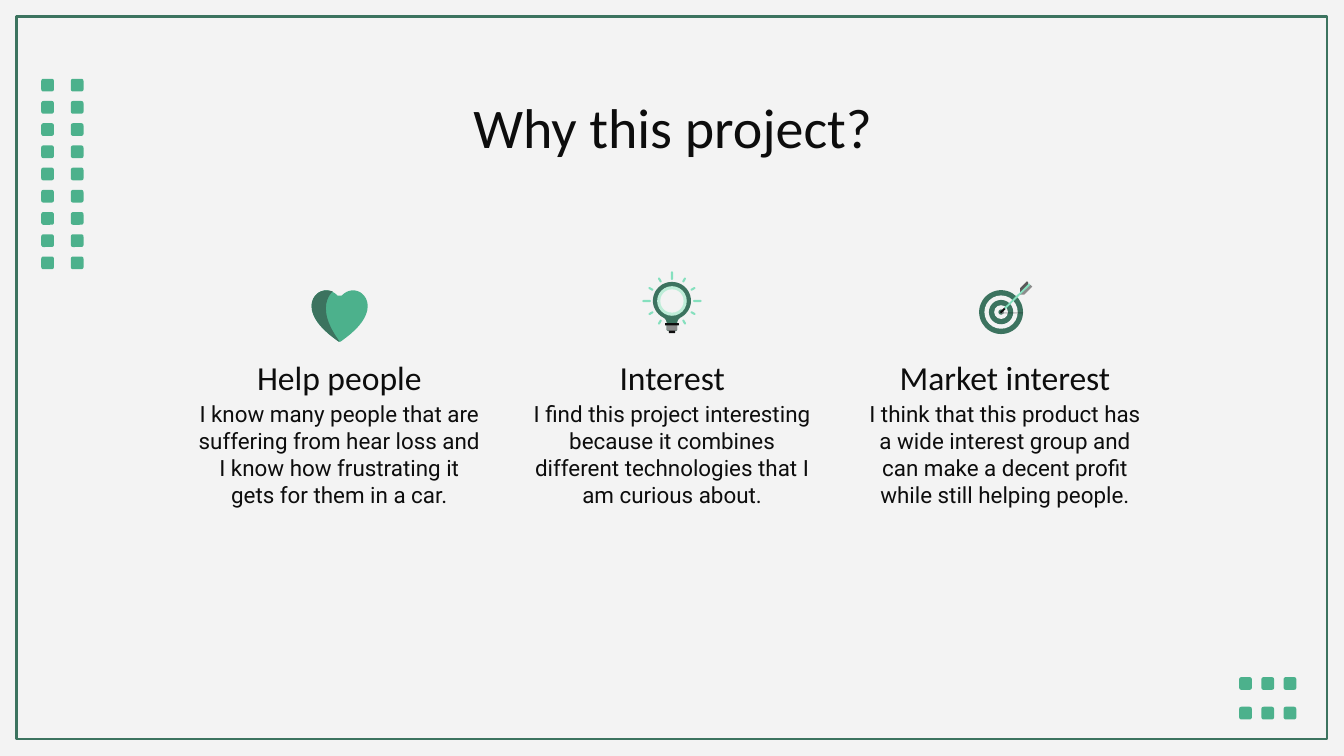
import math
from lxml import etree
from pptx import Presentation
from pptx import util as u
from pptx.dml.color import RGBColor
from pptx.enum import shapes, text
from pptx.oxml import ns

PAPER = RGBColor(0xF3, 0xF3, 0xF3)
INK = RGBColor(0x0D, 0x0D, 0x0D)
FOREST = RGBColor(0x3C, 0x73, 0x5F)
GREEN = RGBColor(0x4C, 0xB1, 0x8C)
MINT = RGBColor(0x85, 0xE0, 0xBE)
PALE = RGBColor(0xBE, 0xED, 0xD8)
GREY = RGBColor(0x8C, 0x8C, 0x8C)
MID_GREY = RGBColor(0x82, 0x82, 0x82)
DARK_GREY = RGBColor(0x59, 0x58, 0x59)

TITLE = "Why this project?"
REASONS = [
    ("Help people", "I know many people that are suffering from hear loss "
     "and I know how frustrating it gets for them in a car."),
    ("Interest", "I find this project interesting because it combines "
     "different technologies that I am curious about."),
    ("Market interest", "I think that this product has a wide interest group "
     "and can make a decent profit while still helping people."),
]
TITLE_FONT = {"name": "Calibri", "size": u.Pt(30)}
HEAD_FONT = {"name": "Calibri", "size": u.Pt(18)}
BODY_FONT = {"name": "Roboto", "size": u.Pt(12)}

DOT_GRIDS = [
    {"left": 0.78, "top": 1.49, "cols": 2, "rows": 9, "dx": 0.56, "dy": 0.42},
    {"left": 23.42, "top": 12.8, "cols": 3, "rows": 2, "dx": 0.42, "dy": 0.56},
]
DOT = 0.24

HEART_AT = (6.42, 5.49)
HEART_SIDE = [(-0.42, 0, -0.53, 0.14, -0.53, 0.3),
              (-0.53, 0.61, -0.14, 0.88, -0.03, 0.96),
              (-0.02, 0.97, -0.01, 0.97, 0, 0.97)]
HEART_HALF = [(0, 0.1), (-0.03, 0.1, -0.04, 0.1, -0.05, 0.09),
              (-0.1, 0.04, -0.17, 0, -0.25, 0)] + HEART_SIDE
HEART_SHADE = [(-0.25, 0)] + HEART_SIDE + [
    (-0.4, 0.43, -0.25, 0.13, -0.13, 0.02),
    (-0.17, 0.01, -0.21, 0, -0.25, 0)]

BULB_AT = (12.7, 5.69)
BULB_HALF = [(0, -0.36), (-0.2, -0.36, -0.36, -0.2, -0.36, 0),
             (-0.36, 0.13, -0.28, 0.25, -0.17, 0.31),
             (-0.13, 0.33, -0.1, 0.37, -0.1, 0.42), (-0.1, 0.53),
             (-0.1, 0.56, -0.08, 0.57, -0.05, 0.57)]
BULB_GLASS = [(0.56, PALE), (0.44, PAPER)]
BULB_BASE = [(0.12, 0.53, 0.08, INK), (0.2, 0.43, 0.13, GREY),
             (0.26, 0.42, 0.04, INK)]

TARGET_AT = (18.92, 5.9)
RINGS = [(0.83, FOREST), (0.63, PAPER), (0.46, FOREST), (0.26, PAPER),
         (0.1, FOREST)]
FEATHER = [(0.49, -0.58), (0.36, -0.45), (0.36, -0.33), (0.44, -0.33),
           (0.59, -0.48), (0.56, -0.51), (0.51, -0.51), (0.51, -0.56)]
FEATHER_SHADE = FEATHER[:3] + FEATHER[-2:]
ARROW = [((-0.01, 0.01), (0.08, -0.08), INK),
         ((0.07, -0.07), (0.54, -0.53), MINT)]

prs = Presentation()
prs.slide_width, prs.slide_height = u.Cm(25.4), u.Cm(14.29)
s = prs.slides.add_slide(prs.slide_layouts[6])
s.background.fill.solid()
s.background.fill.fore_color.rgb = PAPER
KIND = shapes.MSO_SHAPE


def paint(sp, color):
    sp.shadow.inherit = False
    sp.fill.solid()
    sp.fill.fore_color.rgb = color
    sp.line.fill.background()
    return sp


def add_preset(kind, left, top, width, height, color):
    box = [u.Cm(v) for v in (left, top, width, height)]
    return paint(s.shapes.add_shape(kind, *box), color)


def add_circle(center, size, color):
    x, y = (c - size / 2 for c in center)
    return add_preset(KIND.OVAL, x, y, size, size, color)


def trace(path_steps, steps=12):
    points = [path_steps[0]]
    for step in path_steps[1:]:
        if len(step) == 2:
            points.append(step)
            continue
        ends = [points[-1], step[:2], step[2:4], step[4:]]
        for i in range(1, steps + 1):
            t = i / steps
            weights = [math.comb(3, k) * t**k * (1 - t)**(3 - k)
                       for k in range(4)]
            points.append(tuple(sum(w * e[axis] for w, e in zip(weights, ends))
                                for axis in (0, 1)))
    return points


def mirror(points):
    return points + [(-x, y) for x, y in reversed(points)]


def add_outline(center, points, color):
    placed = [(u.Cm(center[0] + x), u.Cm(center[1] + y)) for x, y in points]
    builder = s.shapes.build_freeform(*placed[0])
    builder.add_line_segments(placed[1:], close=True)
    return paint(builder.convert_to_shape(), color)


def add_text(words, left, top, width, height, font, anchor):
    sp = s.shapes.add_textbox(*[u.Cm(v) for v in (left, top, width, height)])
    tf = sp.text_frame
    frame = {"word_wrap": True, "vertical_anchor": anchor}
    frame.update({f"margin_{side}": u.Cm(0.25)
                  for side in ("left", "top", "right", "bottom")})
    for name, value in frame.items():
        setattr(tf, name, value)
    p = tf.paragraphs[0]
    p.alignment = text.PP_ALIGN.CENTER
    r = p.add_run()
    r.text = words
    for name, value in font.items():
        setattr(r.font, name, value)
    r.font.color.rgb = INK


frame = add_preset(KIND.RECTANGLE, 0.31, 0.31, 24.77, 13.66, PAPER)
frame.fill.background()
frame.line.color.rgb = FOREST
frame.line.width = u.Pt(1.5)

for g in DOT_GRIDS:
    for col in range(g["cols"]):
        for row in range(g["rows"]):
            add_preset(KIND.ROUNDED_RECTANGLE, g["left"] + col * g["dx"],
                       g["top"] + row * g["dy"], DOT, DOT, GREEN)

add_text(TITLE, 2.01, 1.5, 21.41, 1.6, TITLE_FONT, text.MSO_ANCHOR.TOP)
for i, (heading, body) in enumerate(REASONS):
    left = 3.48 + i * 6.29
    add_text(heading, left, 6.48, 5.87, 1.27, HEAD_FONT, text.MSO_ANCHOR.BOTTOM)
    add_text(body, left, 7.32, 5.87, 2.49, BODY_FONT, text.MSO_ANCHOR.TOP)

add_outline(HEART_AT, mirror(trace(HEART_HALF)), GREEN)
add_outline(HEART_AT, trace(HEART_SHADE), FOREST)

add_outline(BULB_AT, mirror(trace(BULB_HALF)), FOREST)
for size, color in BULB_GLASS:
    add_circle(BULB_AT, size, color)
for width, drop, height, color in BULB_BASE:
    add_preset(KIND.ROUNDED_RECTANGLE, BULB_AT[0] - width / 2,
               BULB_AT[1] + drop, width, height, color)
for angle in range(0, 360, 30):
    if angle == 90:
        continue
    length, radius = (0.16, 0.48) if angle % 90 == 0 else (0.1, 0.46)
    x = BULB_AT[0] + radius * math.cos(math.radians(angle))
    y = BULB_AT[1] + radius * math.sin(math.radians(angle))
    ray = add_preset(KIND.ROUNDED_RECTANGLE, x - length / 2, y - 0.02,
                     length, 0.04, MINT)
    ray.adjustments[0] = 0.5
    ray.rotation = angle

for size, color in RINGS:
    add_circle(TARGET_AT, size, color)
    is_center = size == RINGS[-1][0]
    shade = add_preset(KIND.RECTANGLE, *TARGET_AT, size / 2, 0.03,
                       MID_GREY if is_center else INK)
    if not is_center:
        clr = shade.fill._xPr.find(".//" + ns.qn("a:srgbClr"))
        etree.SubElement(clr, ns.qn("a:alpha"), val="20000")
add_outline(TARGET_AT, FEATHER, GREY)
add_outline(TARGET_AT, FEATHER_SHADE, DARK_GREY)
for start, end, color in ARROW:
    ends = [u.Cm(c + d) for point in (start, end)
            for c, d in zip(TARGET_AT, point)]
    shaft = s.shapes.add_connector(shapes.MSO_CONNECTOR.STRAIGHT, *ends)
    shaft.line.color.rgb = color
    shaft.line.width = u.Pt(1)
    etree.SubElement(shaft._element.spPr, ns.qn("a:effectLst"))

prs.save("out.pptx")
